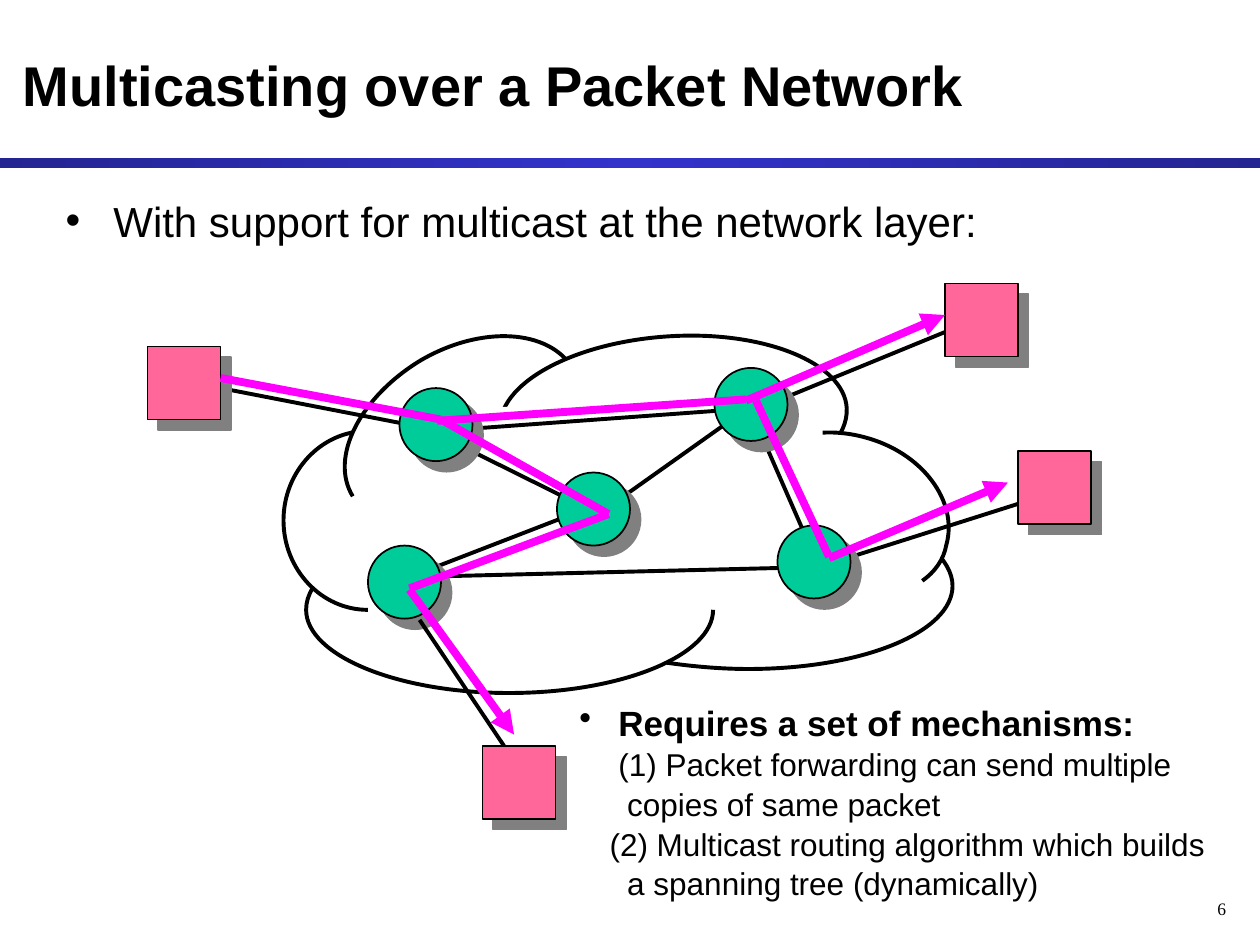
from copy import deepcopy
from lxml.etree import SubElement
from pptx import Presentation
from pptx.dml.color import RGBColor
from pptx.enum.shapes import MSO_CONNECTOR, MSO_SHAPE
from pptx.enum.text import MSO_ANCHOR, MSO_AUTO_SIZE, PP_ALIGN
from pptx.oxml import parse_xml
from pptx.oxml.ns import nsdecls, qn
from pptx.util import Inches, Pt

rgb = RGBColor.from_string
RECT, OVAL = MSO_SHAPE.RECTANGLE, MSO_SHAPE.OVAL
BLACK, WHITE, TEAL, PINK, MAGENTA = "000000", "FFFFFF", "00CC99", "FF6699", "FF00FF"


def add_line(ends, color, width, arrow=False):
    c = s.shapes.add_connector(MSO_CONNECTOR.STRAIGHT, *[Inches(v) for v in ends])
    c.line.color.rgb = rgb(color)
    c.line.width = Pt(width)
    sp_pr = c._element.spPr
    if arrow:
        SubElement(sp_pr.find(qn("a:ln")), qn("a:tailEnd"), type="triangle")
    SubElement(sp_pr, qn("a:effectLst"))


def add_node(kind, x, y, color):
    sp = s.shapes.add_shape(kind, Inches(x), Inches(y), Inches(0.58), Inches(0.58))
    sp.fill.solid()
    sp.fill.fore_color.rgb = rgb(color)
    sp.line.color.rgb = rgb(BLACK)
    sp.line.width = Pt(1)
    sp._element.spPr.append(parse_xml(
        f'<a:effectLst {nsdecls("a")}><a:outerShdw dist="107950" dir="2700000" algn="ctr" '
        'rotWithShape="0"><a:srgbClr val="808080"/></a:outerShdw></a:effectLst>'))


prs = Presentation()
prs.slide_width, prs.slide_height = Inches(10), Inches(7.5)
s = prs.slides.add_slide(prs.slide_layouts[1])
title, body = s.placeholders

bar = s.shapes.add_shape(RECT, 0, Inches(1.25), Inches(10), Inches(0.08))
bar.shadow.inherit = False
bar.line.fill.background()
bar.fill.gradient()
bar.fill.gradient_angle = 0
gs_lst = bar._element.spPr.find(".//" + qn("a:gsLst"))
gs_lst.append(deepcopy(gs_lst[0]))
for stop, position, color in zip(bar.fill.gradient_stops, (0, 0.5, 1), ("242492", "3333CC", "242492")):
    stop.position = position
    stop.color.rgb = rgb(color)

cloud_arcs = [
    [(5.29, 5.26), (5.5, 5.29), (5.72, 5.31), (5.94, 5.31), (6.84, 5.31), (7.56, 5.02), (7.56, 4.65),
     (7.56, 4.55), (7.5, 4.44), (7.39, 4.35), (5.94, 4.65)],
    [(2.64, 4.51), (2.5, 4.61), (2.43, 4.72), (2.43, 4.84), (2.43, 5.2), (3.15, 5.5), (4.04, 5.5),
     (4.94, 5.5), (5.66, 5.2), (5.66, 4.84), (4.04, 4.84)],
    [(3.24, 3.52), (3.14, 3.46), (3.03, 3.42), (2.92, 3.42), (2.55, 3.42), (2.25, 3.74), (2.25, 4.13),
     (2.25, 4.52), (2.55, 4.84), (2.92, 4.84), (2.92, 4.13)],
    [(4.44, 3.62), (4.62, 3.38), (4.66, 3.12), (4.55, 2.93), (4.36, 2.61), (3.82, 2.58), (3.34, 2.86),
     (2.86, 3.15), (2.61, 3.63), (2.8, 3.94), (3.67, 3.44)],
    [(6.16, 3.82), (6.52, 3.68), (6.73, 3.46), (6.72, 3.24), (6.7, 2.88), (6.06, 2.62), (5.3, 2.67),
     (4.54, 2.72), (3.94, 3.05), (3.97, 3.41), (5.34, 3.33)],
    [(7.32, 4.61), (7.42, 4.54), (7.49, 4.44), (7.51, 4.33), (7.61, 3.98), (7.32, 3.59), (6.86, 3.47),
     (6.6, 3.4), (6.34, 3.43), (6.14, 3.54), (6.69, 4.11)],
]
cloud = [s.shapes.add_shape(RECT, Inches(2.92), Inches(3.8), Inches(4.19), Inches(1.23))]
for points in cloud_arcs:
    start, *rest = [(Inches(x), Inches(y)) for x, y in points]
    builder = s.shapes.build_freeform(*start)
    builder.add_line_segments(rest, close=True)
    sp = builder.convert_to_shape()
    sp.line.color.rgb = rgb(BLACK)
    sp.line.width = Pt(2.25)
    wedge = sp._element.spPr.find(".//" + qn("a:path"))
    steps = wedge.findall(qn("a:lnTo"))
    for i in range(0, 9, 3):
        curve = SubElement(wedge, qn("a:cubicBezTo"))
        steps[i].addprevious(curve)
        for step in steps[i:i + 3]:
            curve.append(step[0])
            wedge.remove(step)
    arc = deepcopy(wedge)
    for el in arc[-2:]:
        arc.remove(el)
    arc.set("fill", "none")
    wedge.set("stroke", "0")
    wedge.addprevious(arc)
    cloud.append(sp)
cloud.append(s.shapes.add_shape(RECT, Inches(3.11), Inches(3.23), Inches(3.42), Inches(1.23)))
for sp in cloud:
    sp.shadow.inherit = False
    sp.fill.solid()
    sp.fill.fore_color.rgb = rgb(WHITE)
for sp in (cloud[0], cloud[-1]):
    sp.line.fill.background()

router_links = [(3.25, 4.58, 6.5, 4.5), (5.92, 3.17, 6.5, 4.5), (4.75, 4.08, 3.42, 3.42),
                (4.75, 4.08, 5.92, 3.25), (3.25, 4.58, 4.75, 4), (5.83, 3.25, 3.5, 3.42)]
host_links = [(3.5, 3.42, 1.75, 3.08), (7.83, 2.5, 6, 3.25), (8.33, 3.92, 6.5, 4.5), (4, 5.92, 3.33, 4.92)]
inner_routers = [(4.42, 3.75), (2.92, 4.33)]
edge_routers = [(5.67, 2.92), (6.17, 4.17), (3.17, 3.08)]
hosts = [(1.17, 2.75), (7.5, 2.25), (8.08, 3.58), (3.83, 5.92)]
for links, routers in ((router_links, inner_routers), (host_links, edge_routers)):
    for ends in links:
        add_line(ends, BLACK, 2.25)
    for x, y in routers:
        add_node(OVAL, x, y, TEAL)
for x, y in hosts:
    add_node(RECT, x, y, PINK)

tree = [((1.75, 3, 3.5, 3.33), False), ((3.47, 3.34, 5.92, 3.17), False),
        ((5.92, 3.18, 7.5, 2.5), True), ((3.5, 3.33, 4.83, 4.08), False),
        ((3.25, 4.68, 4.08, 5.83), True), ((6, 3.18, 6.58, 4.42), False),
        ((3.25, 4.67, 4.83, 4.08), False), ((6.58, 4.43, 8, 3.83), True)]
for ends, arrow in tree:
    add_line(ends, MAGENTA, 4.5, arrow)

notes = s.shapes.add_textbox(0, 0, 0, 0)
number = s.shapes.add_textbox(0, 0, 0, 0)
mechanisms = [
    ("Requires a set of mechanisms:", 20, True, 0.31, -0.31, "•"),
    ("(1) Packet forwarding can send multiple copies of same packet", 18, False, 0.38, -0.07, None),
    ("(2) Multicast routing algorithm which builds a spanning tree (dynamically)", 18, False, 0.38, -0.14, None),
]
texts = [
    (title, (0.08, 0.17, 9.83, 1), MSO_ANCHOR.MIDDLE, "Arial", PP_ALIGN.LEFT,
     [("Multicasting over a Packet Network", 32, True, 0, 0, None)]),
    (body, (0.42, 1.5, 8.61, 1.58), MSO_ANCHOR.TOP, "Arial", PP_ALIGN.LEFT,
     [("With support for multicast at the network layer:", 24, False, 0.38, -0.38, "•")]),
    (notes, (4.5, 5.5, 5.17, 1.64), MSO_ANCHOR.TOP, "Arial", PP_ALIGN.LEFT, mechanisms),
    (number, (7.75, 7.08, 2.08, 0.25), MSO_ANCHOR.TOP, "Times New Roman", PP_ALIGN.RIGHT,
     [("6", 10, False, 0, 0, None)]),
]
for sp, box, anchor, font, align, paragraphs in texts:
    sp.left, sp.top, sp.width, sp.height = [Inches(v) for v in box]
    tf = sp.text_frame
    tf.word_wrap = True
    tf.auto_size = MSO_AUTO_SIZE.NONE
    tf.vertical_anchor = anchor
    tf.margin_left, tf.margin_right = Inches(0.1), Inches(0.05 if sp is notes else 0.1)
    tf.text = "\n".join(row[0] for row in paragraphs)
    for p, (_, size, bold, margin, indent, bullet) in zip(tf.paragraphs, paragraphs):
        p.alignment = align
        p.space_before = Pt(0)
        p.line_spacing = 1.05 if sp is notes else 1.0
        p_pr = p._p.get_or_add_pPr()
        p_pr.set("marL", str(Inches(margin)))
        p_pr.set("indent", str(Inches(indent)))
        if bullet:
            SubElement(p_pr, qn("a:buChar"), char=bullet)
        else:
            SubElement(p_pr, qn("a:buNone"))
        for r in p.runs:
            r.font.name, r.font.size, r.font.bold = font, Pt(size), bold
            r.font.color.rgb = rgb(BLACK)

prs.save("out.pptx")
